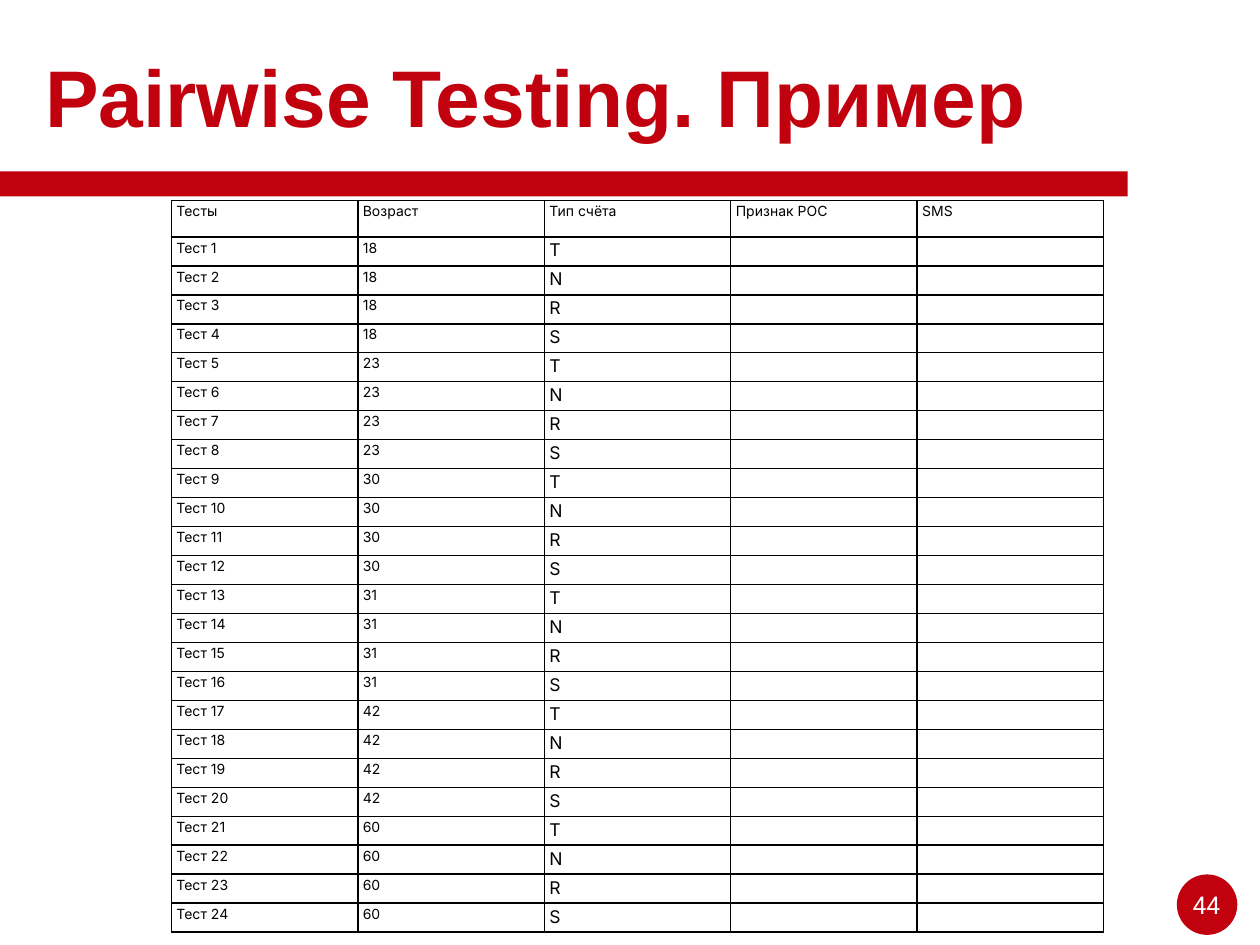
from dataclasses import dataclass
from lxml.etree import SubElement
from pptx import Presentation
from pptx.dml.color import RGBColor
from pptx.enum.shapes import MSO_SHAPE
from pptx.enum.text import MSO_ANCHOR, PP_ALIGN
from pptx.oxml.ns import qn
from pptx.util import Inches, Pt


@dataclass(frozen=True)
class Theme:
    red: RGBColor = RGBColor(0xC1, 0x01, 0x0D)
    white: RGBColor = RGBColor(255, 255, 255)
    black: RGBColor = RGBColor(0, 0, 0)
    title: float = 45.9
    number: int = 14
    body: int = 8
    account: int = 10


theme = Theme()


def add_label(text, left, top, width, height, font_name, size, color):
    label = slide.shapes.add_textbox(Inches(left), Inches(top), Inches(width), Inches(height))
    frame = label.text_frame
    frame.text = text
    frame.vertical_anchor = MSO_ANCHOR.MIDDLE
    frame.margin_left = frame.margin_right = Inches(0.05)
    frame.margin_top = frame.margin_bottom = Inches(0.05)
    font = frame.paragraphs[0].runs[0].font
    font.name, font.size, font.color.rgb = font_name, Pt(size), color
    return frame


def add_borders(cell):
    properties = cell._tc.get_or_add_tcPr()
    for side in ("a:lnL", "a:lnR", "a:lnT", "a:lnB"):
        line = SubElement(properties, qn(side), w=str(Pt(1)))
        fill = SubElement(line, qn("a:solidFill"))
        SubElement(fill, qn("a:srgbClr"), val=str(theme.black))


presentation = Presentation()
presentation.slide_width = Inches(10)
presentation.slide_height = Inches(7.5)
slide = presentation.slides.add_slide(presentation.slide_layouts[6])

badge = slide.shapes.add_shape(MSO_SHAPE.OVAL, Inches(9.34), Inches(6.94), Inches(0.48), Inches(0.48))
badge.rotation = 59.1
band = slide.shapes.add_shape(MSO_SHAPE.RECTANGLE, Inches(-0.06), Inches(1.36), Inches(9.01), Inches(0.2))
for accent in (badge, band):
    accent.shadow.inherit = False
    accent.fill.solid()
    accent.fill.fore_color.rgb = theme.red
    accent.line.fill.background()

title = add_label("Pairwise Testing. Пример", 0.31, 0.28, 8.22, 0.95, "Arial", theme.title, theme.red)
title.word_wrap = True
title.paragraphs[0].runs[0].font.bold = True
page_number = add_label("44", 9.41, 7.01, 0.33, 0.34, "Roboto", theme.number, theme.white)
page_number.word_wrap = False
page_number.paragraphs[0].alignment = PP_ALIGN.CENTER

headings = ["Тесты", "Возраст", "Тип счёта", "Признак РОС", "SMS"]
combinations = [(age, account) for age in (18, 23, 30, 31, 42, 60) for account in "TNRS"]
rows = [headings] + [
    [f"Тест {index}", str(age), account, "", ""]
    for index, (age, account) in enumerate(combinations, 1)
]

tests = slide.shapes.add_table(
    len(rows), len(headings), Inches(1.36), Inches(1.59), Inches(7.4), Inches(5.77)
).table
tests.first_row = tests.horz_banding = False
for column in tests.columns:
    column.width = Inches(1.48)

for row_index, values in enumerate(rows):
    tests.rows[row_index].height = Inches(0.23 if row_index else 0.29)
    for column_index, value in enumerate(values):
        cell = tests.cell(row_index, column_index)
        add_borders(cell)
        cell.fill.background()
        cell.margin_left = cell.margin_right = Inches(0.04)
        cell.margin_top = cell.margin_bottom = 0
        paragraph = cell.text_frame.paragraphs[0]
        if not value:
            SubElement(paragraph._p, qn("a:endParaRPr"), sz=str(theme.body * 100))
            continue
        paragraph.text = value
        paragraph.line_spacing = 1.15
        paragraph.space_after = Pt(10)
        font = paragraph.runs[0].font
        font.name = "Inter"
        font.size = Pt(theme.account if row_index and column_index == 2 else theme.body)
        font.color.rgb = theme.black

presentation.save("out.pptx")
